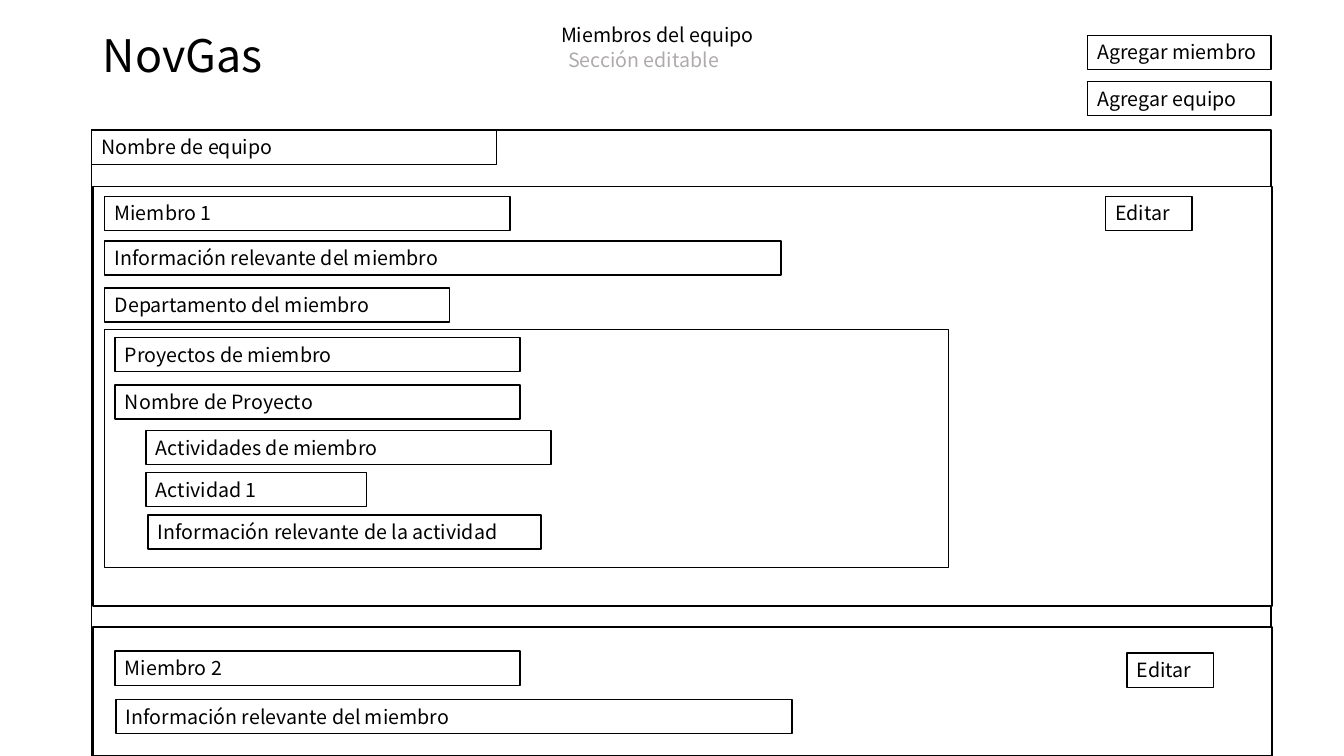
import pptx
import pptx.util
import pptx.dml.color
import pptx.enum.shapes
import pptx.enum.text

Cm = pptx.util.Cm

# Content (lengths in cm)
TITLE = ("NovGas", 2.34, 0.56, 7.77, 1.63)

# Frames: left, top, width, height
FRAMES = [
    (2.31, 3.28, 29.72, 15.77),   # team
    (2.34, 15.8, 29.72, 3.25),    # second member
    (2.34, 4.7, 29.72, 10.57),    # first member
    (2.64, 8.31, 21.26, 5.99),    # projects of the first member
]

# Headings: text, left, top, width, colour name
HEADINGS = [
    ("Miembros del equipo", 13.89, 0.46, 6.1, "ink"),
    ("Sección editable", 14.07, 1.09, 4.62, "muted"),
]

# Fields: text, left, top, width name
FIELDS = [
    ("Nombre de equipo", 2.31, 3.28, "name"),
    ("Miembro 1", 2.64, 4.95, "name"),
    ("Información relevante del miembro", 2.64, 6.07, "info"),
    ("Departamento del miembro", 2.64, 7.26, "department"),
    ("Proyectos de miembro", 2.9, 8.51, "name"),
    ("Nombre de Proyecto", 2.9, 9.7, "name"),
    ("Actividades de miembro", 3.68, 10.85, "name"),
    ("Actividad 1", 3.68, 11.91, "activity"),
    ("Información relevante de la actividad", 3.73, 12.98, "activity info"),
    ("Miembro 2", 2.9, 16.41, "name"),
    ("Información relevante del miembro", 2.92, 17.63, "info"),
    # Buttons
    ("Agregar miembro", 27.41, 0.89, "add"),
    ("Agregar equipo", 27.41, 2.06, "add"),
    ("Editar", 27.86, 4.95, "edit"),
    ("Editar", 28.4, 16.46, "edit"),
]

WIDTHS = {"name": 10.21, "info": 17.04, "department": 8.69, "activity": 5.56,
          "activity info": 9.91, "add": 4.62, "edit": 2.18}
ROW_H = 0.86

THEME = {
    "font": "Noto Sans CJK SC",
    "ink": "000000",
    "muted": "AFABAB",
    "paper": "FFFFFF",
    "title": 32,
    "body": 14,
    "line": 1,
}


def color(name):
    return pptx.dml.color.RGBColor.from_string(THEME[name])


def write(sp, text, size="body", ink="ink"):
    tf = sp.text_frame
    tf.text = text
    tf.word_wrap = True
    tf.auto_size = pptx.enum.text.MSO_AUTO_SIZE.SHAPE_TO_FIT_TEXT
    tf.vertical_anchor = pptx.enum.text.MSO_ANCHOR.TOP
    p = tf.paragraphs[0]
    p.alignment = pptx.enum.text.PP_ALIGN.LEFT
    font = p.runs[0].font
    font.name = THEME["font"]
    font.size = pptx.util.Pt(THEME[size])
    font.color.rgb = color(ink)


def add_box(slide, *place):
    sp = slide.shapes.add_shape(pptx.enum.shapes.MSO_SHAPE.RECTANGLE,
                                *map(Cm, place))
    sp.shadow.inherit = False
    sp.fill.solid()
    sp.fill.fore_color.rgb = color("paper")
    sp.line.color.rgb = color("ink")
    sp.line.width = pptx.util.Pt(THEME["line"])
    return sp


def main():
    prs = pptx.Presentation()
    prs.slide_width, prs.slide_height = Cm(33.87), Cm(19.05)
    slide = prs.slides.add_slide(prs.slide_layouts[5])

    # Title
    text, *place = TITLE
    title = slide.shapes.title
    title.left, title.top, title.width, title.height = map(Cm, place)
    write(title, text, "title")

    # Frames
    for place in FRAMES:
        add_box(slide, *place)

    # Headings
    for text, left, top, width, ink in HEADINGS:
        sp = slide.shapes.add_textbox(*map(Cm, (left, top, width, ROW_H)))
        write(sp, text, ink=ink)

    # Fields and buttons
    for text, left, top, kind in FIELDS:
        write(add_box(slide, left, top, WIDTHS[kind], ROW_H), text)

    prs.save("out.pptx")


if __name__ == "__main__":
    main()
